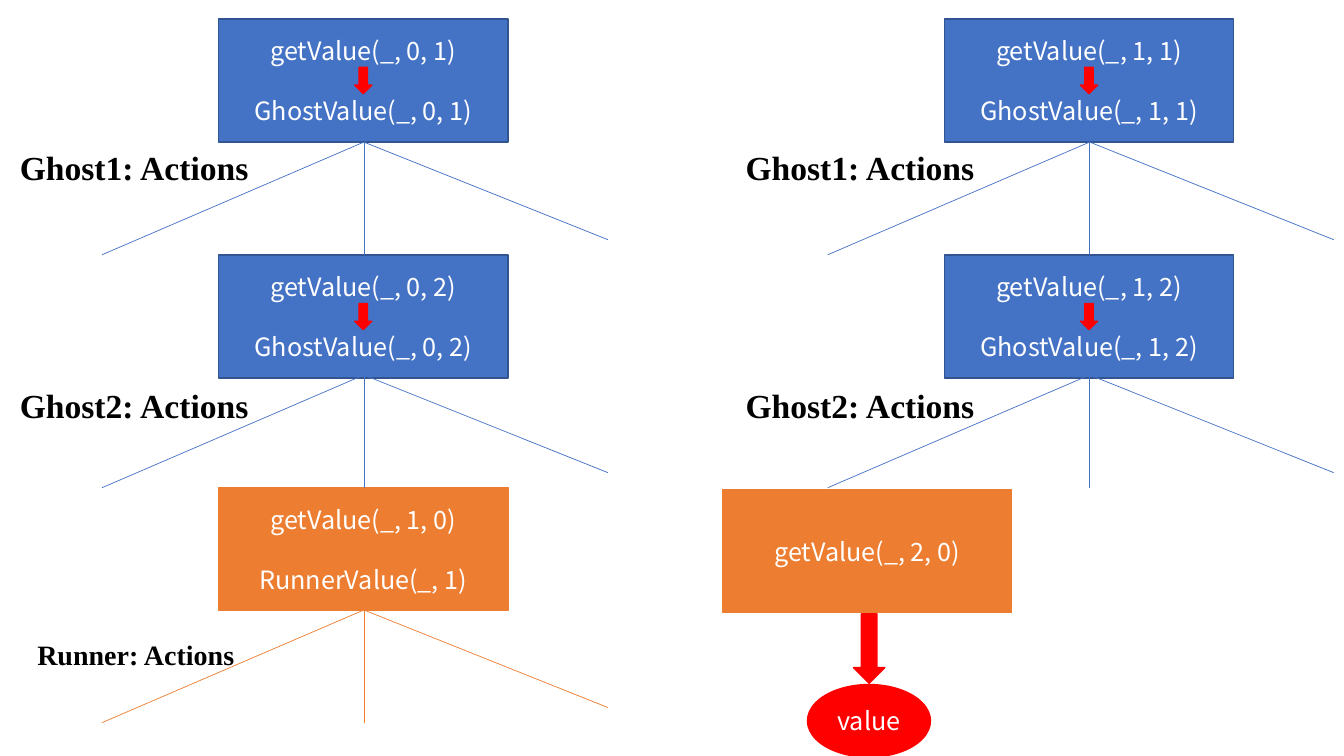
import pptx
import pptx.util
import pptx.dml.color
import pptx.enum.shapes
import pptx.enum.text
import lxml.etree

Cm, Pt = pptx.util.Cm, pptx.util.Pt
RGBColor = pptx.dml.color.RGBColor
SHAPE = pptx.enum.shapes.MSO_SHAPE
BLUE = RGBColor(0x44, 0x72, 0xC4)
DARK_BLUE = RGBColor(0x32, 0x54, 0x91)
ORANGE = RGBColor(0xED, 0x7D, 0x31)
RED = RGBColor(0xFF, 0x00, 0x00)
WHITE = RGBColor(0xFF, 0xFF, 0xFF)
BLACK = RGBColor(0x00, 0x00, 0x00)
A_NS = "http://schemas.openxmlformats.org/drawingml/2006/main"

BOX_W, BOX_H = 7.29, 3.1
TREE_STEP = 18.29  # distance between the two trees


def add_block(shapes, kind, left, top, width, height, fill, line, lines=()):
    sp = shapes.add_shape(kind, Cm(left), Cm(top), Cm(width), Cm(height))
    sp.shadow.inherit = False
    sp.fill.solid()
    sp.fill.fore_color.rgb = fill
    sp.line.color.rgb = line
    sp.line.width = Pt(1)
    tf = sp.text_frame
    tf.text = "\n".join(lines)
    tf.vertical_anchor = pptx.enum.text.MSO_ANCHOR.MIDDLE
    for i, p in enumerate(tf.paragraphs):
        p.alignment = pptx.enum.text.PP_ALIGN.CENTER
        if i:
            p.space_before = Pt(21.5)
        for r in p.runs:
            r.font.name = "Noto Sans CJK SC"
            r.font.size = Pt(18)
            r.font.color.rgb = WHITE


prs = pptx.Presentation()
prs.slide_width, prs.slide_height = Cm(33.87), Cm(19.05)
s = prs.slides.add_slide(prs.slide_layouts[6])

# Call boxes: tree, top, calls, fill, outline, arrow colour
calls = [
    (0, 0.48, "getValue(_, 0, 1)", "GhostValue(_, 0, 1)", BLUE, DARK_BLUE, RED),
    (0, 6.43, "getValue(_, 0, 2)", "GhostValue(_, 0, 2)", BLUE, DARK_BLUE, RED),
    (0, 12.29, "getValue(_, 1, 0)", "RunnerValue(_, 1)", ORANGE, ORANGE, ORANGE),
    (1, 0.48, "getValue(_, 1, 1)", "GhostValue(_, 1, 1)", BLUE, DARK_BLUE, RED),
    (1, 6.43, "getValue(_, 1, 2)", "GhostValue(_, 1, 2)", BLUE, DARK_BLUE, RED),
]
for tree, top, caller, callee, fill, outline, arrow in calls:
    left = 5.51 + tree * TREE_STEP
    group = s.shapes.add_group_shape()
    add_block(group.shapes, SHAPE.RECTANGLE, left, top, BOX_W, BOX_H,
              fill, outline, (caller, callee))
    add_block(group.shapes, SHAPE.DOWN_ARROW, left + 3.43, top + 1.22, 0.43, 0.66,
              arrow, arrow)

# Action branches with labels: tree, branch top, colour, label, left, top, width, size
actions = [
    (0, 3.58, BLUE, "Ghost1: Actions", 0.25, 3.58, 6.93, 24),
    (0, 9.45, BLUE, "Ghost2: Actions", 0.25, 9.58, 6.45, 24),
    (0, 15.37, ORANGE, "Runner: Actions", 0.69, 15.93, 5.84, 20),
    (1, 3.58, BLUE, "Ghost1: Actions", 0.25, 3.58, 6.93, 24),
    (1, 9.45, BLUE, "Ghost2: Actions", 0.25, 9.58, 6.45, 24),
]
for tree, y, color, label, left, top, width, size in actions:
    shift = tree * TREE_STEP
    x = 9.17 + shift
    for dx, dy in ((0, 2.84), (-6.6, 2.84), (6.15, 2.46)):
        branch = s.shapes.add_connector(
            pptx.enum.shapes.MSO_CONNECTOR.STRAIGHT,
            Cm(x), Cm(y), Cm(x + dx), Cm(y + dy))
        branch.line.color.rgb = color
        branch.line.width = Pt(0.5)
        lxml.etree.SubElement(branch._element.spPr, "{%s}effectLst" % A_NS)

    tb = s.shapes.add_textbox(Cm(left + shift), Cm(top), Cm(width), Cm(1.27 if size == 24 else 1.12))
    tf = tb.text_frame
    tf.word_wrap = True
    tf.auto_size = pptx.enum.text.MSO_AUTO_SIZE.SHAPE_TO_FIT_TEXT
    tf.text = label
    font = tf.paragraphs[0].runs[0].font
    font.name = "Times New Roman"
    font.size = Pt(size)
    font.bold = True
    font.color.rgb = BLACK

# Final call and its returned value
add_block(s.shapes, SHAPE.RECTANGLE, 18.21, 12.34, BOX_W, BOX_H,
          ORANGE, ORANGE, ("getValue(_, 2, 0)",))
add_block(s.shapes, SHAPE.DOWN_ARROW, 21.51, 15.47, 0.79, 1.75, RED, RED)
add_block(s.shapes, SHAPE.OVAL, 20.35, 17.25, 3.1, 1.83, RED, RED, ("value",))

prs.save("out.pptx")
